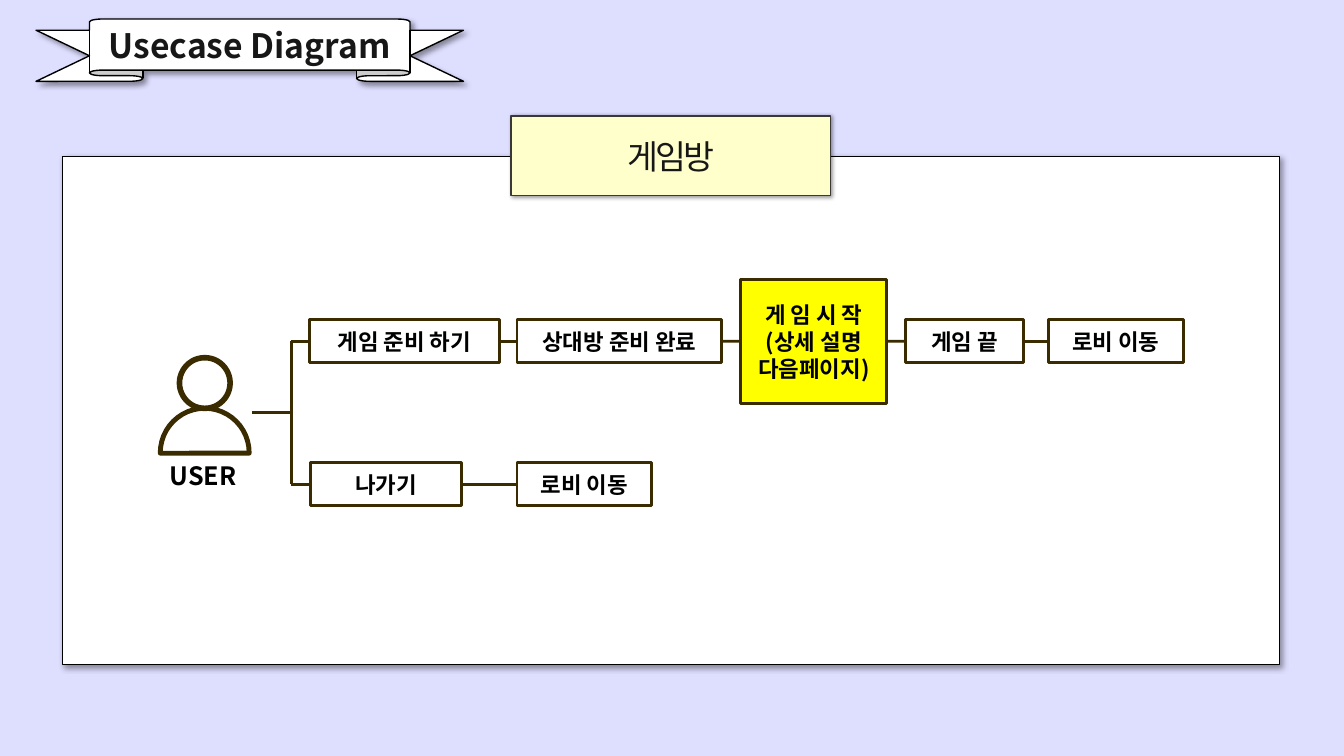
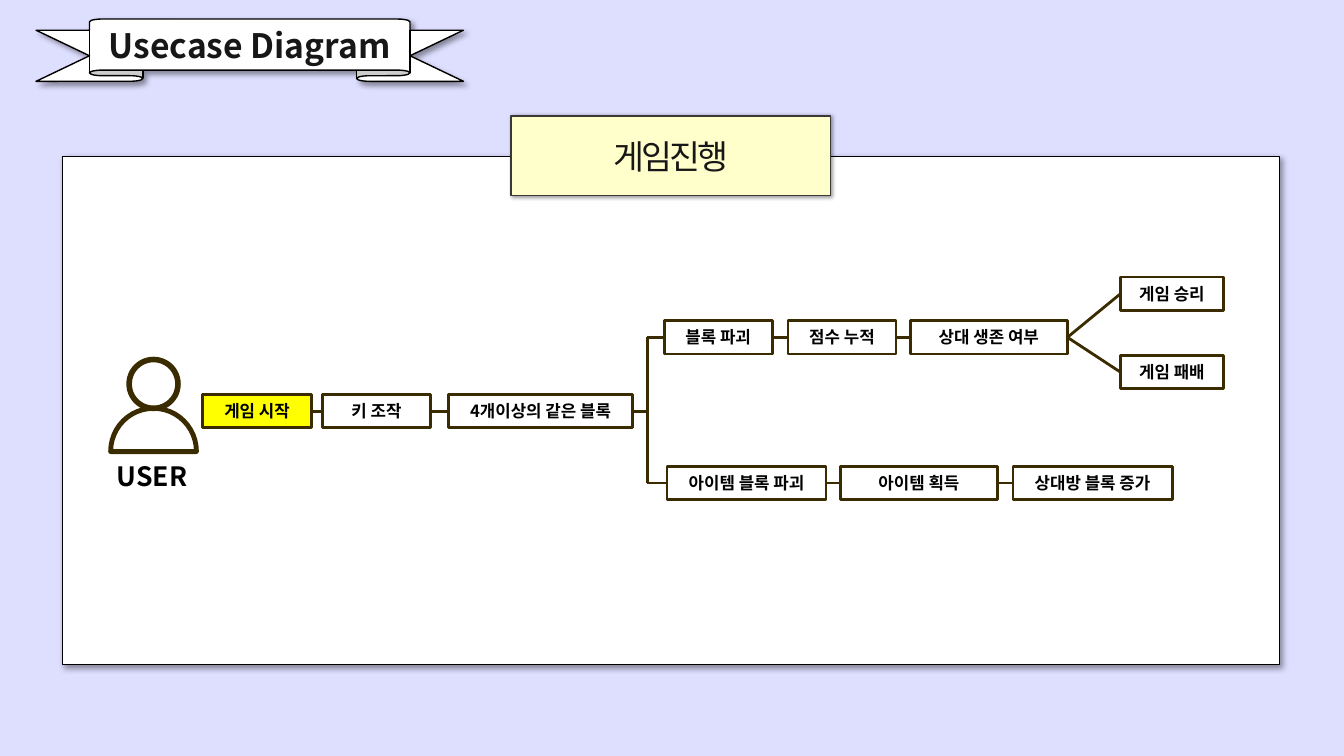
from dataclasses import dataclass

from lxml import etree
from pptx import Presentation
from pptx.dml.color import RGBColor
from pptx.enum import shapes, text
from pptx.oxml import ns
from pptx.util import Cm, Pt


@dataclass(frozen=True)
class Theme:
    font: str = "Noto Sans CJK KR"
    back: str = "DEDEFF"
    panel: str = "FFFFFF"
    edge: str = "000000"
    tab: str = "FFFFCC"
    tab_edge: str = "3B3838"
    title: str = "181717"
    ink: str = "000000"
    stroke: str = "3A2C00"
    mark: str = "FFFF00"
    title_pt: int = 24
    thin: float = 1
    line: float = 2
    body_line: float = 3.5
    head_line: float = 4


T = Theme()
SHAPE = shapes.MSO_SHAPE
BOTTOM_OF_HEAD = 10.29


def rgb(value):
    return RGBColor.from_string(value)


def write(sp, content, size, color=T.ink, bold=True, spacing=None, margins=(0, 0)):
    tf = sp.text_frame
    tf.word_wrap = True
    tf.vertical_anchor = text.MSO_ANCHOR.MIDDLE
    tf.margin_left = tf.margin_right = Cm(margins[0])
    tf.margin_top = tf.margin_bottom = Cm(margins[1])
    for i, line in enumerate(content.split("\n")):
        p = tf.paragraphs[0] if i == 0 else tf.add_paragraph()
        p.alignment = text.PP_ALIGN.CENTER
        r = p.add_run()
        r.text = line
        r.font.size = Pt(size)
        r.font.bold = bold
        r.font.color.rgb = rgb(color)
        r.font.name = T.font
        props = r._r.get_or_add_rPr()
        etree.SubElement(props, ns.qn("a:ea"), typeface=T.font)
        if spacing is not None:
            props.set("spc", str(spacing * 100))


def add_shadow(sp, blur, dist):
    effects = sp._element.spPr.find(ns.qn("a:effectLst"))
    shadow = etree.SubElement(
        effects, ns.qn("a:outerShdw"), blurRad=str(Pt(blur)), dist=str(Pt(dist)),
        dir="2700000", algn="tl", rotWithShape="0")
    color = etree.SubElement(shadow, ns.qn("a:srgbClr"), val=T.edge)
    etree.SubElement(color, ns.qn("a:alpha"), val="40000")


def add_outline(parent, kind, box, fill=None, color=T.stroke, width=T.line, shadow=None):
    sp = parent.shapes.add_shape(kind, *map(Cm, box))
    sp.shadow.inherit = False
    if fill:
        sp.fill.solid()
        sp.fill.fore_color.rgb = rgb(fill)
    else:
        sp.fill.background()
    sp.line.color.rgb = rgb(color)
    sp.line.width = Pt(width)
    if shadow:
        add_shadow(sp, *shadow)
    return sp


def add_line(s, start, end):
    c = s.shapes.add_connector(
        shapes.MSO_CONNECTOR.STRAIGHT, *map(Cm, (*start, *end)))
    c.line.color.rgb = rgb(T.stroke)
    c.line.width = Pt(T.line)
    etree.SubElement(c._element.spPr, ns.qn("a:effectLst"))
    return c


def join(s, left, right):
    c = add_line(s, (0, 0), (0, 0))
    c.begin_connect(left, 3)
    c.end_connect(right, 1)


def add_node(s, content, x, y, width, size, height, fill=None):
    sp = add_outline(s, SHAPE.RECTANGLE, (x, y - height / 2, width, height), fill)
    write(sp, content, size, margins=(0.33, 0.18))
    return sp


def add_chain(s, y, steps, size, height):
    nodes = [add_node(s, content, x, y, width, **{"size": size, "height": height, **extra})
             for content, x, width, extra in steps]
    for left, right in zip(nodes, nodes[1:]):
        join(s, left, right)
    return nodes


def add_branch(s, start, trunk_x, rows, source=None):
    stem = add_line(s, start, (trunk_x, start[1]))
    if source:
        stem.begin_connect(source, 3)
    ys = [y for y, _ in rows]
    add_line(s, (trunk_x, min(ys)), (trunk_x, max(ys)))
    for y, node in rows:
        add_line(s, (trunk_x, y), (trunk_x, y)).end_connect(node, 1)


def add_user(s, center, size, label_pt):
    group = s.shapes.add_group_shape()
    body = add_outline(group, SHAPE.CHORD, (center - size / 2, BOTTOM_OF_HEAD, size, size),
                       width=T.body_line)
    body.adjustments[0] = 107.64
    body.adjustments[1] = 0.33
    head = size * 0.57
    add_outline(group, SHAPE.OVAL, (center - head / 2, BOTTOM_OF_HEAD - head, head, head),
                width=T.head_line)
    label = group.shapes.add_textbox(Cm(center - 1.27), Cm(11.43), Cm(2.46), Cm(1.1))
    write(label, "USER", label_pt)


def add_page(prs, heading):
    s = prs.slides.add_slide(prs.slide_layouts[6])
    s.background.fill.solid()
    s.background.fill.fore_color.rgb = rgb(T.back)
    add_outline(s, SHAPE.RECTANGLE, (1.57, 3.94, 30.68, 12.8), T.panel, T.edge, T.thin, (4, 3))
    ribbon = add_outline(s, SHAPE.UP_RIBBON, (0.91, 0.48, 10.77, 1.57),
                         T.panel, T.edge, T.thin, (4, 3))
    ribbon.adjustments[0] = 0.18
    ribbon.adjustments[1] = 0.75
    write(ribbon, "Usecase Diagram", T.title_pt, T.title)
    tab = add_outline(s, SHAPE.RECTANGLE, (12.88, 2.92, 8.05, 2.01),
                      T.tab, T.tab_edge, T.thin, (3, 1))
    write(tab, heading, T.title_pt, T.title, bold=False, spacing=-2)
    return s


def add_room_slide(prs):
    s = add_page(prs, "게임방")
    style = {"size": 16, "height": 1.09}
    top, bottom = 8.6, 12.2
    ready = add_chain(s, top, [
        ("게임 준비 하기", 7.8, 4.78, {}),
        ("상대방 준비 완료", 13.03, 5.16, {}),
        ("게 임 시 작\n(상세 설명 다음페이지)", 18.67, 3.68, {"height": 3.12, "fill": T.mark}),
        ("게임 끝", 22.83, 2.97, {}),
        ("로비 이동", 26.42, 3.4, {}),
    ], **style)
    leave = add_chain(s, bottom, [
        ("나가기", 7.82, 3.81, {}),
        ("로비 이동", 13.03, 3.4, {}),
    ], **style)
    add_user(s, 5.16, 2.24, 18)
    add_branch(s, (6.35, 10.39), 7.34, [(top, ready[0]), (bottom, leave[0])])


def add_play_slide(prs):
    s = add_page(prs, "게임진행")
    style = {"size": 12, "height": 0.84}
    top, middle, bottom = 8.5, 10.36, 12.17
    start = add_chain(s, middle, [
        ("게임 시작", 5.11, 2.74, {"fill": T.mark}),
        ("키 조작", 8.13, 2.72, {}),
        ("4개이상의 같은 블록", 11.3, 4.65, {}),
    ], **style)
    blocks = add_chain(s, top, [
        ("블록 파괴", 16.74, 2.72, {}),
        ("점수 누적", 19.86, 2.72, {}),
        ("상대 생존 여부", 22.94, 3.96, {}),
    ], **style)
    items = add_chain(s, bottom, [
        ("아이템 블록 파괴", 16.81, 4.01, {}),
        ("아이템 획득", 21.18, 3.96, {}),
        ("상대방 블록 증가", 25.53, 4.01, {}),
    ], **style)
    for result, y in (("게임 승리", 7.4), ("게임 패배", 9.38)):
        join(s, blocks[-1], add_node(s, result, 28.24, y, 2.59, **style))
    add_user(s, 3.87, 2.16, 19)
    add_branch(s, (15.95, middle), 16.31, [(top, blocks[0]), (bottom, items[0])], start[-1])


def main():
    prs = Presentation()
    prs.slide_width, prs.slide_height = Cm(33.87), Cm(19.05)
    add_room_slide(prs)
    add_play_slide(prs)
    prs.save("out.pptx")


if __name__ == "__main__":
    main()
